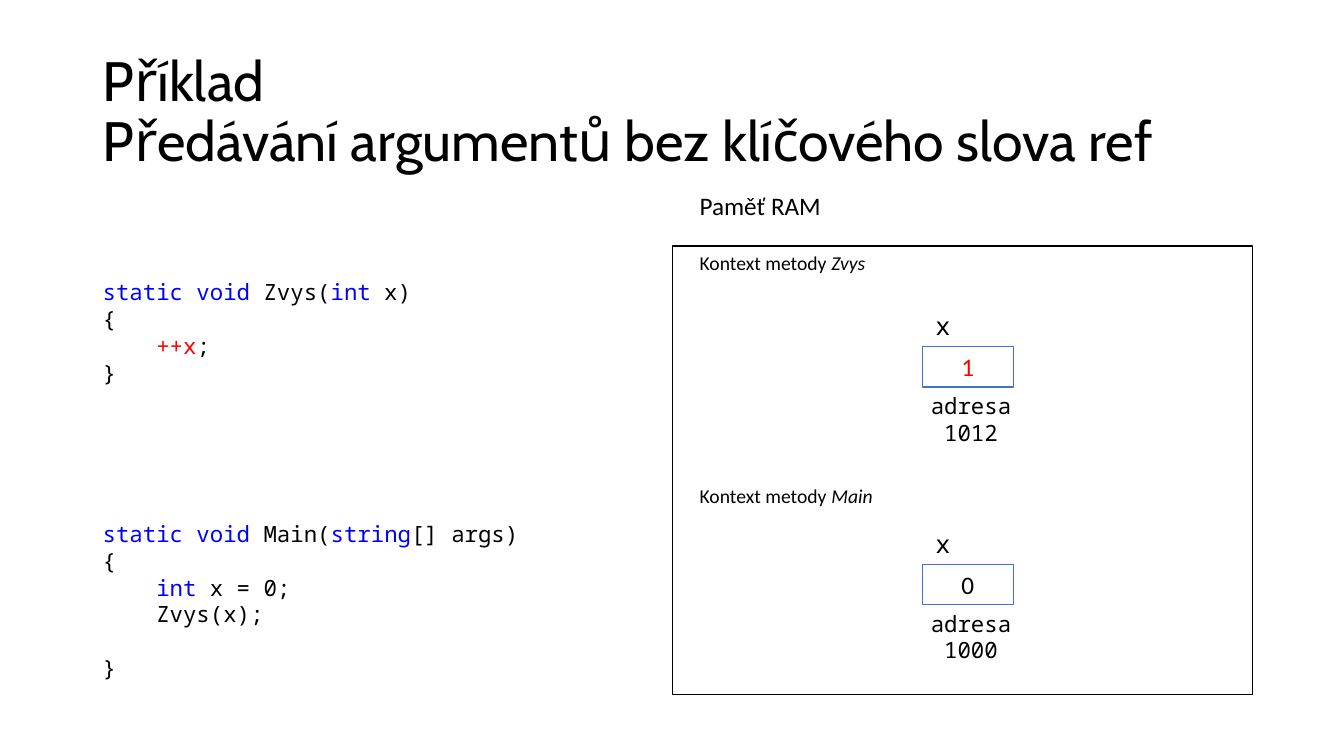
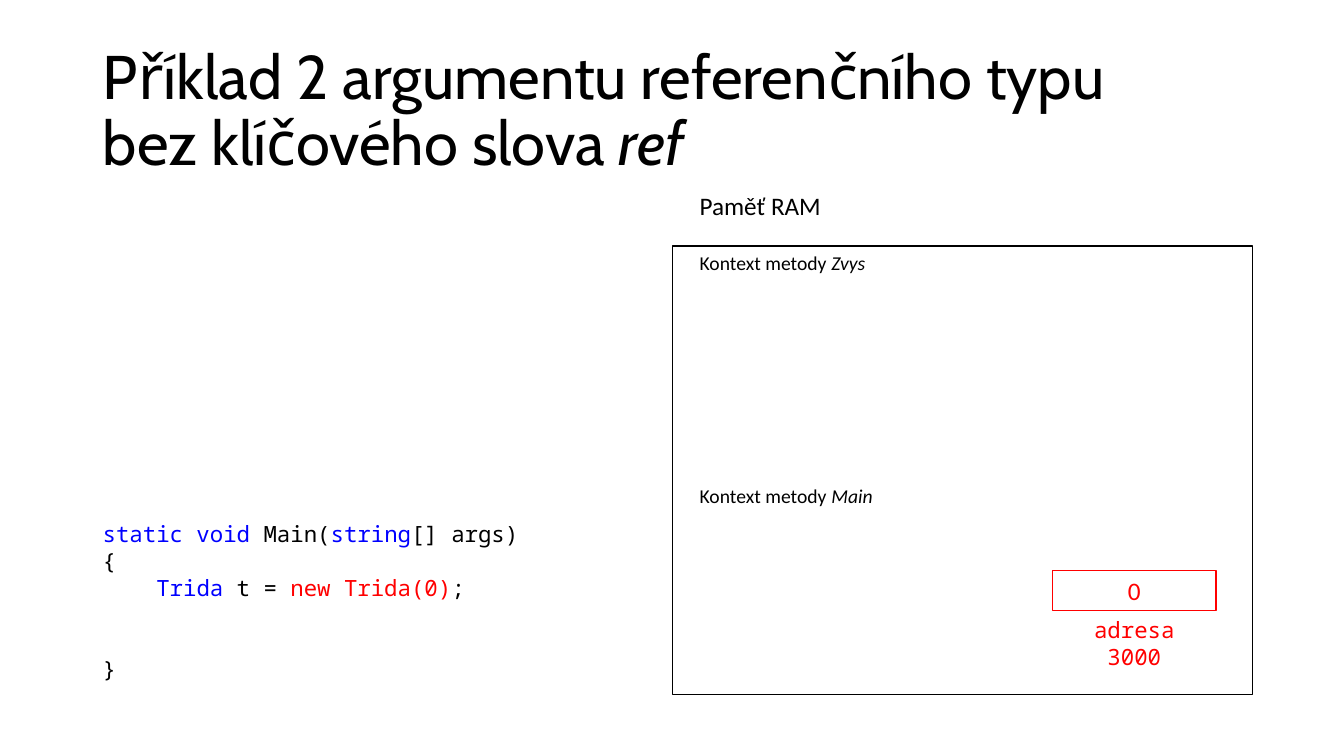
"""Build two slides on passing arguments without the ref keyword."""
from pptx import Presentation
from pptx.dml.color import RGBColor
from pptx.enum import shapes, text
from pptx.util import Emu, Pt

PX = 9144
BLACK = RGBColor(0, 0, 0)
WHITE = RGBColor(255, 255, 255)
BLUE = RGBColor(0, 0, 255)
RED = RGBColor(255, 0, 0)
STEEL = RGBColor(0x44, 0x72, 0xC4)
HEAD, BODY, MONO = "Cabin", "Calibri", "Noto Sans Mono"
LEFT, CENTER = text.PP_ALIGN.LEFT, text.PP_ALIGN.CENTER
CODE_PITCH = 19.3

RAM = (667, 244, 575, 445)
CAPTIONS = [
    ((684, 184, 186, 40), 18, "Paměť RAM", ""),
    ((684, 475, 192, 34), 14, "Kontext metody ", "Main"),
    ((684, 244, 312, 34), 14, "Kontext metody ", "Zvys"),
]
MAIN_HEAD = [
    (0, [("static void", BLUE), (" Main(", BLACK), ("string", BLUE), ("[] args)", BLACK)]),
    (0, [("{", BLACK)]),
]
ZVYS = [
    (0, [("static void ", BLUE), ("Zvys(", BLACK), ("int", BLUE), (" x)", BLACK)]),
    (0, [("{", BLACK)]),
    (0, [("    ", BLACK), ("++x", RED), (";", BLACK)]),
    (0, [("}", BLACK)]),
]
MAIN_VALUE = MAIN_HEAD + [
    (0, [("    ", BLACK), ("int", BLUE), (" x = 0;", BLACK)]),
    (0, [("    Zvys(x);", BLACK)]),
    (1, [("}", BLACK)]),
]
MAIN_REFERENCE = MAIN_HEAD + [
    (0, [("    ", BLACK), ("Trida", BLUE), (" t = ", BLACK), ("new Trida(0)", RED), (";", BLACK)]),
    (2, [("}", BLACK)]),
]
ZVYS_BOX = (92, 271, 575, 118)
MAIN_BOX = (92, 511, 575, 174)

SLIDES = [
    {
        "title": [[("Příklad", False)],
                  [("Předávání argumentů bez klíčového slova ref", False)]],
        "title_size": 39.6,
        "title_top": 40,
        "code": [(ZVYS_BOX, ZVYS), (MAIN_BOX, MAIN_VALUE)],
        "cells": [
            dict(box=(915, 560, 90, 40), value="0", name="x", address="adresa 1000",
                 address_left=882, line=STEEL, color=BLACK, address_color=BLACK),
            dict(box=(915, 344, 90, 40), value="1", name="x", address="adresa 1012",
                 address_left=882, line=STEEL, color=RED, address_color=BLACK),
        ],
    },
    {
        "title": [[("Příklad 2 argumentu referenčního typu", False)],
                  [("bez klíčového slova ", False), ("ref", True)]],
        "title_size": 44,
        "title_top": 39,
        "code": [(MAIN_BOX, MAIN_REFERENCE)],
        "cells": [
            dict(box=(1044, 566, 162, 40), value="0", name="", address="adresa 3000",
                 address_left=1044, line=RED, color=RED, address_color=RED),
        ],
    },
]


def emu(box):
    return [Emu(v * PX) for v in box]


def add_run(p, words, size, font, color=BLACK, italic=False):
    r = p.add_run()
    r.text = words
    r.font.size = Pt(size)
    r.font.name = font
    r.font.color.rgb = color
    if italic:
        r.font.italic = True


def add_text(s, box):
    tf = s.shapes.add_textbox(*emu(box)).text_frame
    tf.word_wrap = True
    return tf


def add_rect(s, box, line):
    sp = s.shapes.add_shape(shapes.MSO_SHAPE.RECTANGLE, *emu(box))
    sp.shadow.inherit = False
    sp.fill.solid()
    sp.fill.fore_color.rgb = WHITE
    sp.line.color.rgb = line
    sp.line.width = Pt(1)
    return sp


def add_title(s, lines, size, top):
    sp = s.shapes.title
    sp.left, sp.top, sp.width, sp.height = emu((92, top, 1150, 145))
    tf = sp.text_frame
    tf.word_wrap = True
    tf.auto_size = text.MSO_AUTO_SIZE.NONE
    tf.vertical_anchor = text.MSO_ANCHOR.MIDDLE
    p = tf.paragraphs[0]
    p.alignment = LEFT
    p.line_spacing = 0.9
    for i, line in enumerate(lines):
        if i:
            p.add_line_break()
        for words, italic in line:
            add_run(p, words, size, HEAD, italic=italic)


def add_code(s, box, lines):
    tf = add_text(s, box)
    for i, (gap, runs) in enumerate(lines):
        p = tf.add_paragraph() if i else tf.paragraphs[0]
        if gap:
            p.space_before = Pt(gap * CODE_PITCH)
        for words, color in runs:
            add_run(p, words, 16, MONO, color)


def add_cell(s, box, value, name, address, address_left, line, color, address_color):
    left, top, width, height = box
    tf = add_rect(s, box, line).text_frame
    tf.vertical_anchor = text.MSO_ANCHOR.MIDDLE
    p = tf.paragraphs[0]
    p.alignment = CENTER
    add_run(p, value, 18, BODY, color)
    p = add_text(s, (address_left, top + height, 162, 64)).paragraphs[0]
    p.alignment = CENTER
    add_run(p, address, 16, MONO, address_color)
    if name:
        p = add_text(s, (left + 3, top - 41, width, 40)).paragraphs[0]
        add_run(p, name, 18, MONO)


def build_slide(prs, data):
    s = prs.slides.add_slide(prs.slide_layouts[5])
    add_title(s, data["title"], data["title_size"], data["title_top"])
    add_rect(s, RAM, BLACK)
    for box, size, words, method in CAPTIONS:
        p = add_text(s, box).paragraphs[0]
        add_run(p, words, size, BODY)
        if method:
            add_run(p, method, size, BODY, italic=True)
    for box, lines in data["code"]:
        add_code(s, box, lines)
    for cell in data["cells"]:
        add_cell(s, **cell)


def main():
    prs = Presentation()
    prs.slide_width, prs.slide_height = emu((1333, 750))
    for data in SLIDES:
        build_slide(prs, data)
    prs.save("out.pptx")


if __name__ == "__main__":
    main()
